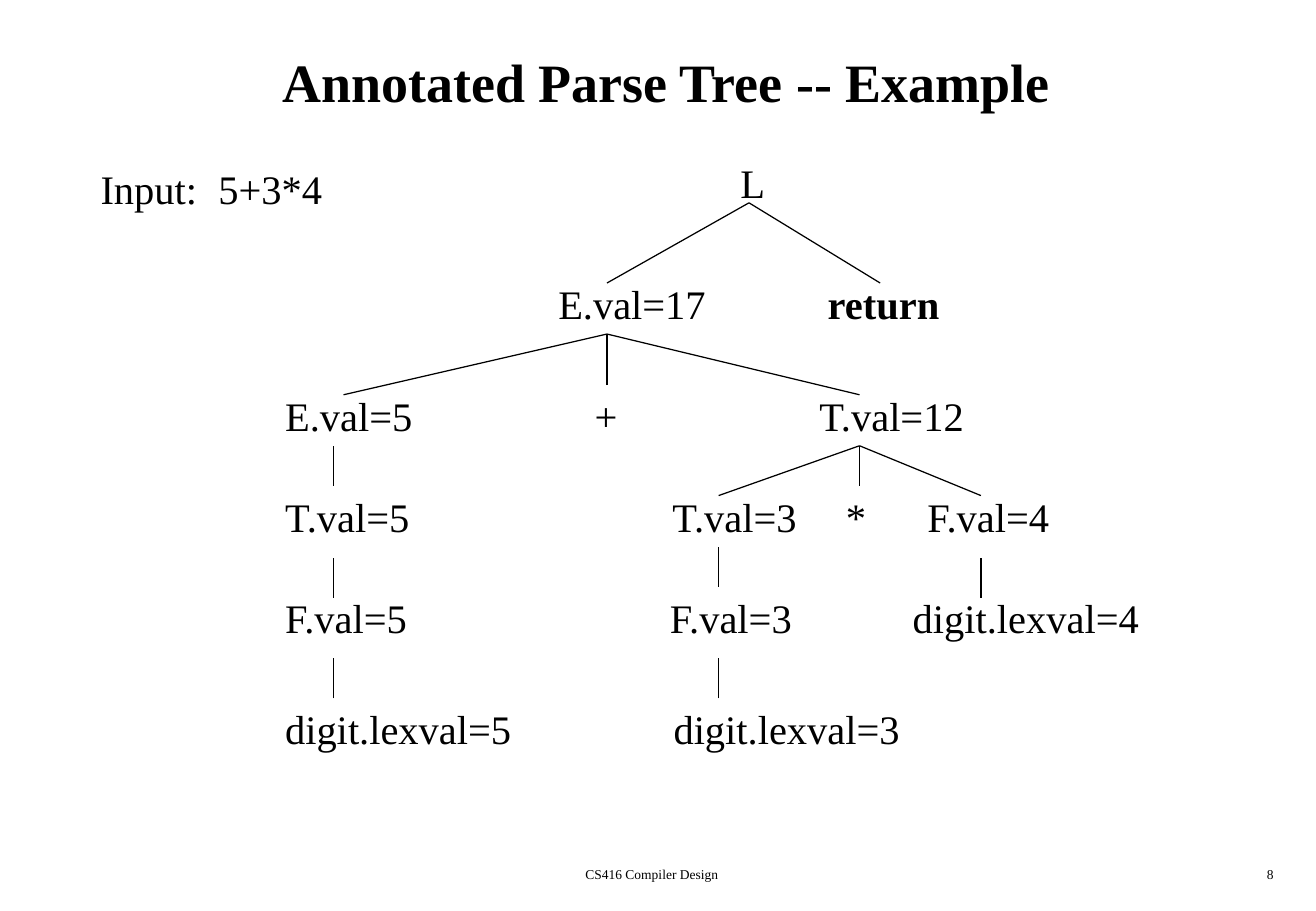
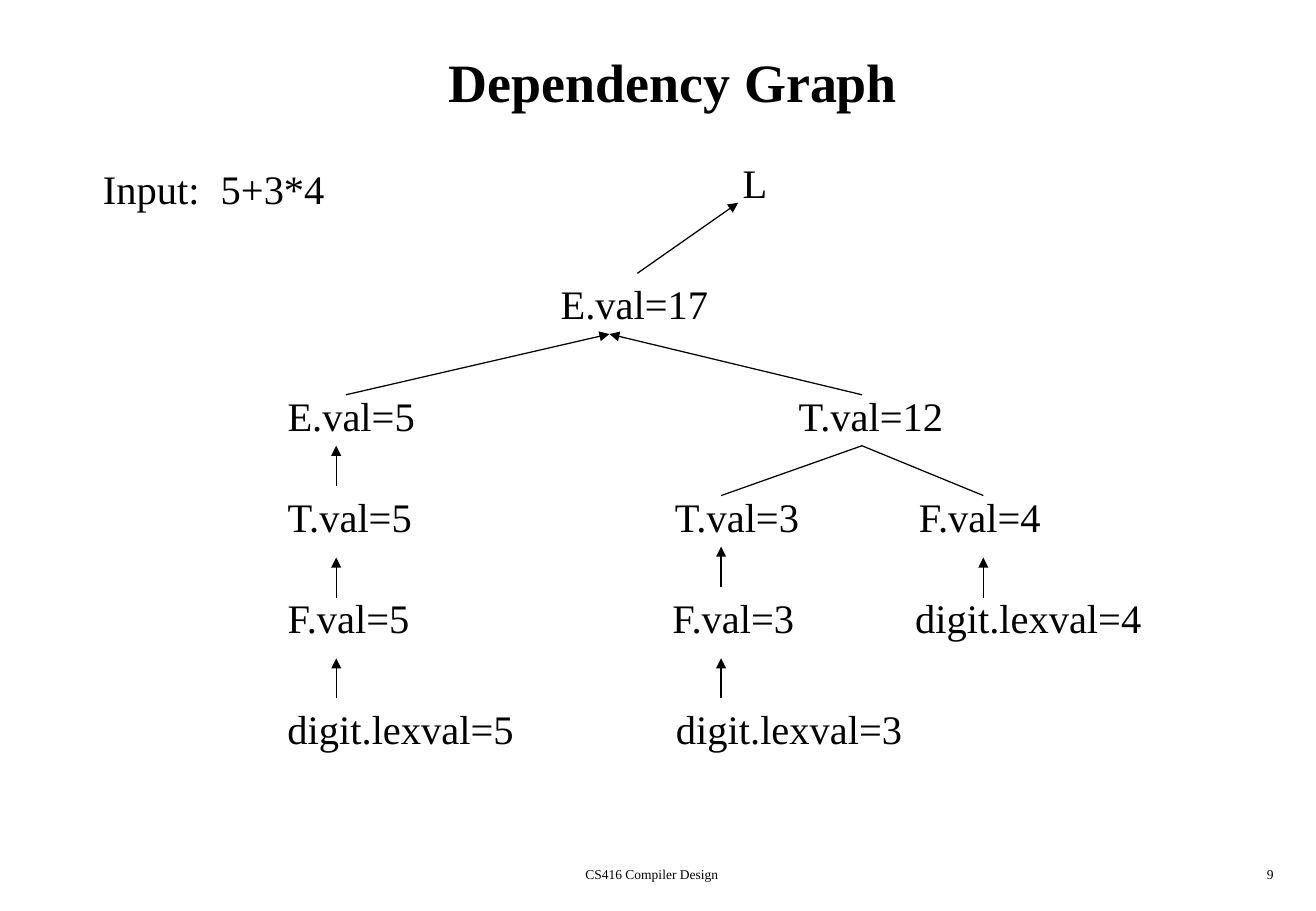
"""Build two slides on attribute evaluation: an annotated parse tree and its dependency graph."""
import pptx
import pptx.dml.color
import pptx.enum.shapes
import pptx.enum.text
import pptx.oxml.ns
import pptx.util
from lxml import etree

PX = 9144
FONT = "Times New Roman"
BLACK = "000000"
ALIGN = pptx.enum.text.PP_ALIGN


def color(value):
    return pptx.dml.color.RGBColor.from_string(value)


def add_text(slide, text, left, top, width, height, size=24, bold=False, align=ALIGN.LEFT):
    box = slide.shapes.add_textbox(left * PX, top * PX, width * PX, height * PX)
    frame = box.text_frame
    frame.word_wrap = True
    frame.text = text
    paragraph = frame.paragraphs[0]
    paragraph.alignment = align
    font = paragraph.runs[0].font
    font.name = FONT
    font.size = pptx.util.Pt(size)
    font.bold = bold
    font.color.rgb = color(BLACK)
    return box


shared_nodes = [
    ("Input:", 73, 130), ("5+3*4", 170, 130),
    ("L", 600, 125),
    ("E.val=17", 450, 225),
    ("E.val=5", 225, 317),
    ("T.val=5", 225, 400), ("T.val=3", 544, 400),
    ("F.val=5", 225, 483), ("F.val=3", 542, 483), ("digit.lexval=4", 742, 483),
    ("digit.lexval=5", 225, 575), ("digit.lexval=3", 545, 575),
]
tree_nodes = [("return", 672, 225), ("+", 480, 317), ("T.val=12", 665, 317),
              ("*", 687, 400), ("F.val=4", 754, 400)]
graph_nodes = [("T.val=12", 646, 317), ("F.val=4", 745, 400)]

value_edges = [(283, 325, 500, 275), (708, 325, 500, 275)]
value_edges += [(x, bottom, x, bottom - 33) for x, bottom in [
    (275, 400), (275, 492), (275, 575), (592, 483), (592, 575), (808, 492)]]
product_edges = [(592, 408, 708, 367), (808, 408, 708, 367)]
tree_edges = [(500, 233, 617, 167), (725, 233, 617, 167),
              (500, 317, 500, 275), (708, 400, 708, 367)]
graph_edges = [(523, 225, 606, 167)]

pages = [
    ("Annotated Parse Tree -- Example ", "8", 0, tree_nodes,
     value_edges + product_edges + tree_edges, []),
    ("Dependency Graph", "9", 2, graph_nodes,
     product_edges, value_edges + graph_edges),
]

presentation = pptx.Presentation()
presentation.slide_width = 1084 * PX
presentation.slide_height = 750 * PX

for title, number, shift, nodes, plain_edges, arrow_edges in pages:
    slide = presentation.slides.add_slide(presentation.slide_layouts[6])
    title_box = add_text(slide, title, 42, 17, 1025, 100, 32, True, ALIGN.CENTER)
    title_box.text_frame.vertical_anchor = pptx.enum.text.MSO_ANCHOR.MIDDLE

    for text, left, top in shared_nodes + nodes:
        add_text(slide, text, left + shift, top, 16 * len(text) + 40, 50, bold=text == "return")

    for edge in plain_edges + arrow_edges:
        child_x, child_y, parent_x, parent_y = edge
        connector = slide.shapes.add_connector(
            pptx.enum.shapes.MSO_CONNECTOR.STRAIGHT,
            (child_x + shift) * PX, child_y * PX, (parent_x + shift) * PX, parent_y * PX)
        connector.line.color.rgb = color(BLACK)
        connector.line.width = pptx.util.Pt(0.75)
        if edge in arrow_edges:
            etree.SubElement(connector.line._get_or_add_ln(),
                             pptx.oxml.ns.qn("a:tailEnd"), type="triangle")
        etree.SubElement(connector._element.spPr, pptx.oxml.ns.qn("a:effectLst"))

    add_text(slide, "CS416 Compiler Design", 334, 708, 406, 25, 8, align=ALIGN.CENTER)
    add_text(slide, number, 833, 708, 226, 25, 8, align=ALIGN.RIGHT)

presentation.save("out.pptx")
